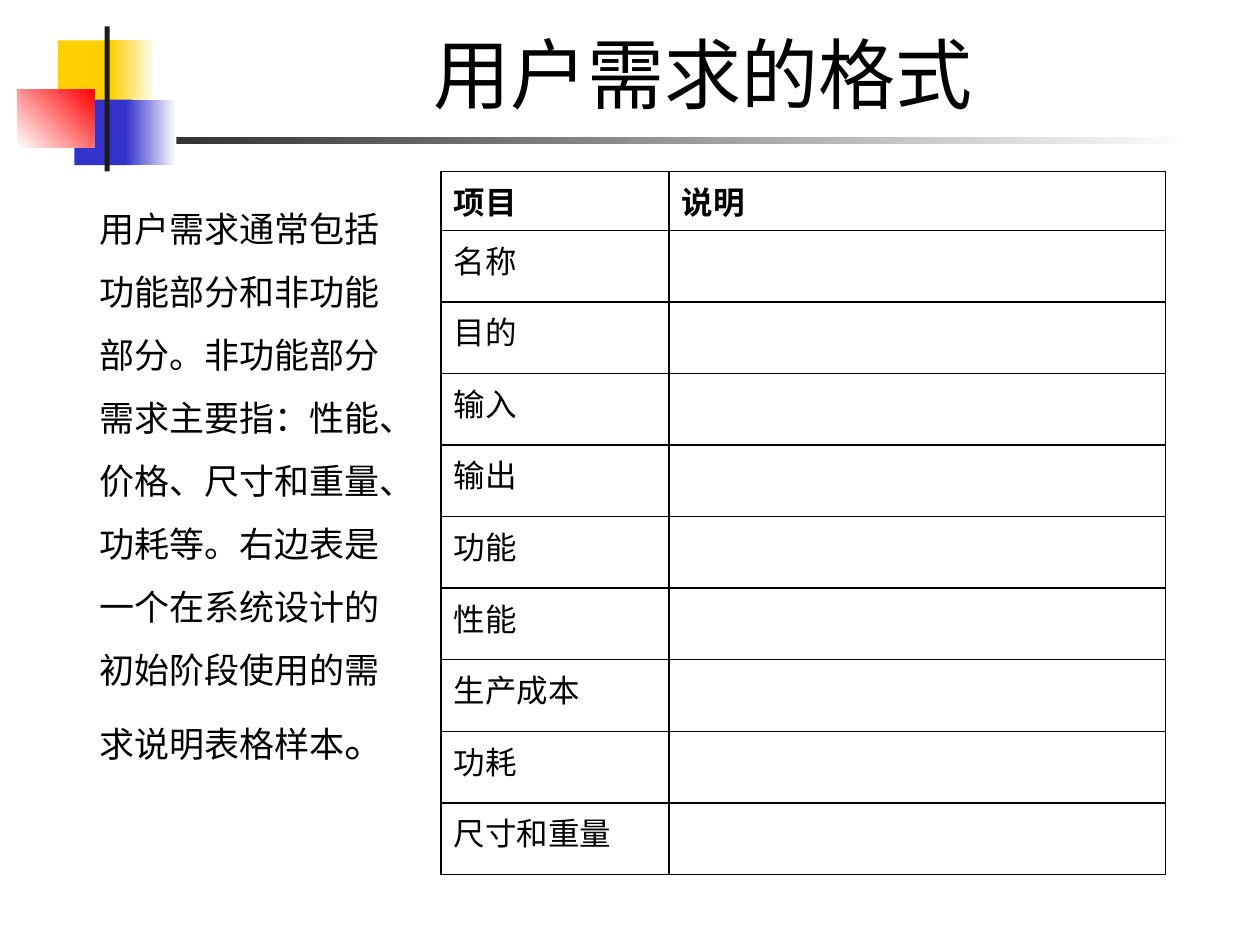
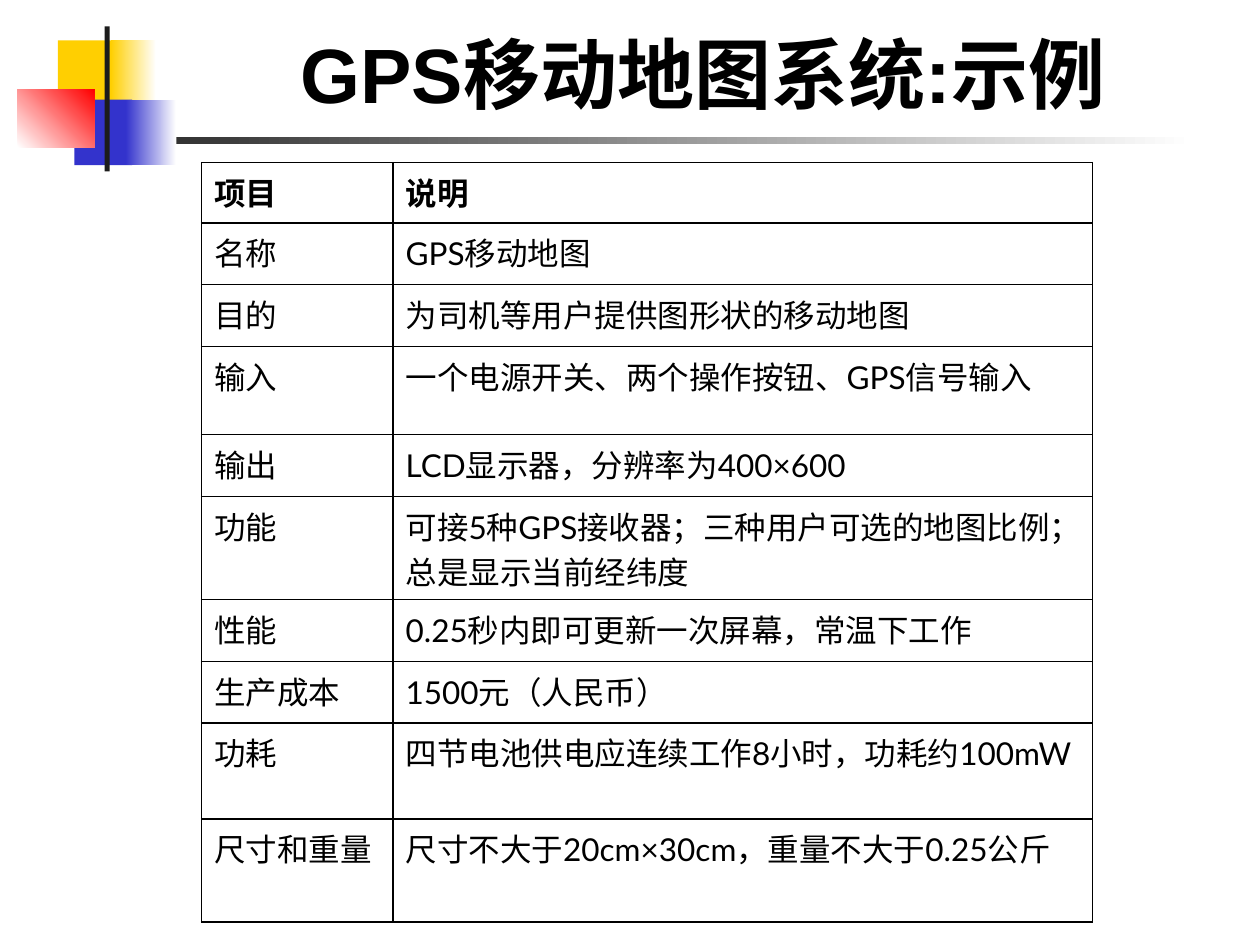
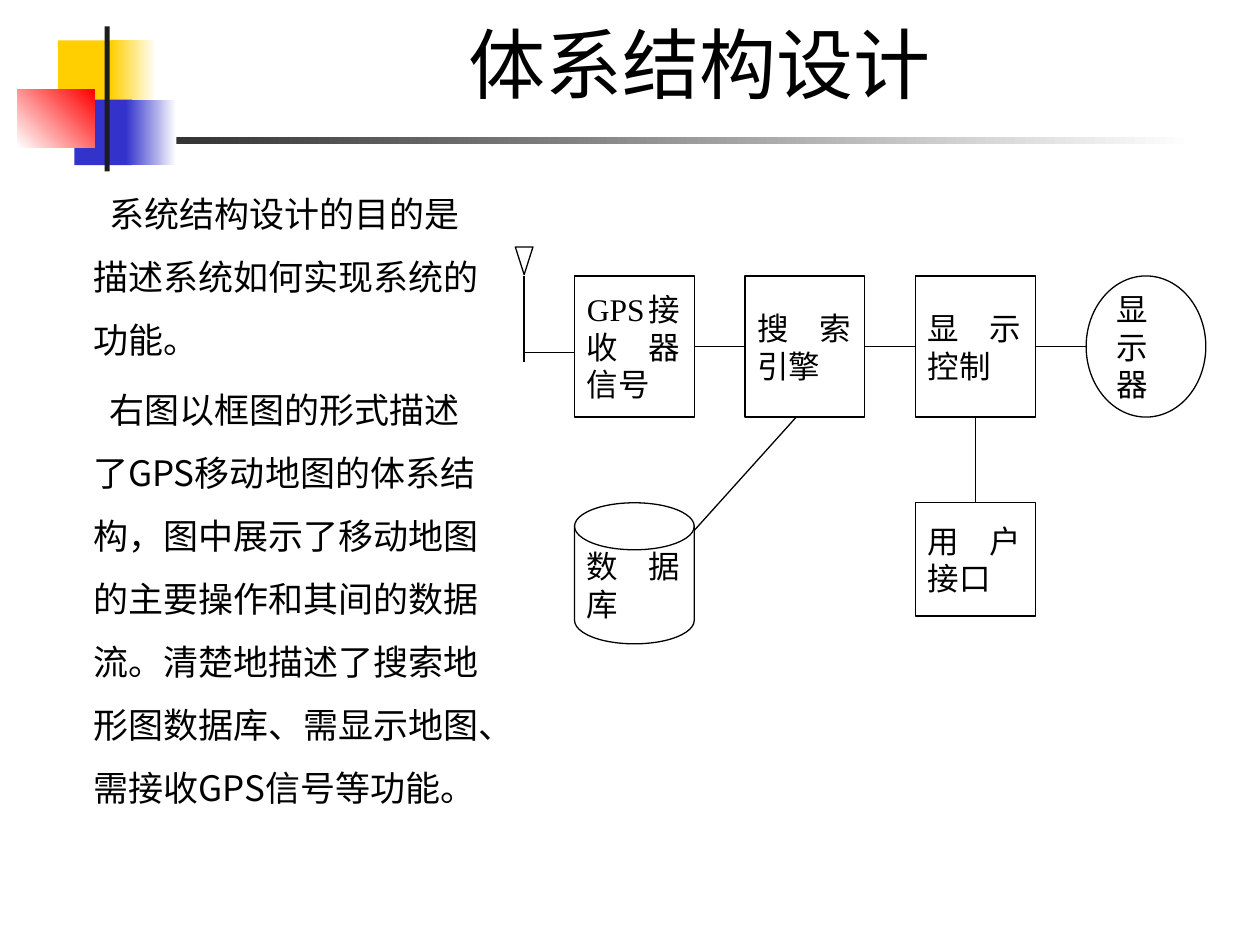
from lxml import etree
from pptx import Presentation
from pptx.dml.color import RGBColor
from pptx.enum.shapes import MSO_CONNECTOR, MSO_SHAPE as SHAPE
from pptx.enum.text import MSO_ANCHOR as ANCHOR, PP_ALIGN as ALIGN
from pptx.oxml.ns import qn
from pptx.util import Inches, Pt

BLACK, WHITE, CHARCOAL = "000000", "FFFFFF", "1C1C1C"
YELLOW, BLUE, RED = "FFCF01", "3333CC", "FF0000"
TITLE_FONT, TABLE_FONT, DIAGRAM_FONT = "Arial", "Lato", "Times New Roman"
CJK_FONT = "Noto Sans CJK SC"

BANDS = [
    ((0.48, 1.09, 9, 0.05), (CHARCOAL, WHITE), 0),
    ((0.46, 0.32, 0.48, 0.52), (YELLOW,), 0),
    ((0.88, 0.32, 0.36, 0.52), (YELLOW, WHITE), 0),
    ((0.59, 0.79, 0.46, 0.52), (BLUE,), 0),
    ((1, 0.79, 0.4, 0.52), (BLUE, WHITE), 0),
    ((0.14, 0.71, 0.61, 0.46), (WHITE, RED), 45),
    ((0.83, 0.21, 0.04, 1.15), (CHARCOAL,), 0),
]

ITEMS = ["名称", "目的", "输入", "输出", "功能", "性能", "生产成本", "功耗", "尺寸和重量"]
GPS_DETAILS = [
    "GPS移动地图",
    "为司机等用户提供图形状的移动地图",
    "一个电源开关、两个操作按钮、GPS信号输入",
    "LCD显示器，分辨率为400×600",
    "可接5种GPS接收器；三种用户可选的地图比例；总是显示当前经纬度",
    "0.25秒内即可更新一次屏幕，常温下工作",
    "1500元（人民币）",
    "四节电池供电应连续工作8小时，功耗约100mW",
    "尺寸不大于20cm×30cm，重量不大于0.25公斤",
]

FORMAT_TEXT = ("用户需求通常包括功能部分和非功能部分。非功能部分需求主要指：性能、价格、"
               "尺寸和重量、功耗等。右边表是一个在系统设计的初始阶段使用的需求说明表格样本")
DESIGN_TEXTS = [
    "系统结构设计的目的是描述系统如何实现系统的功能。",
    "右图以框图的形式描述了GPS移动地图的体系结构，图中展示了移动地图的主要操作和其间的"
    "数据流。清楚地描述了搜索地形图数据库、需显示地图、需接收GPS信号等功能。",
]


def rgb(value):
    """Turn a hex string into a colour."""
    return RGBColor.from_string(value)


def box(at):
    """Turn left, top, width and height in inches into lengths."""
    return [Inches(v) for v in at]


def add_run(p, text, size, font, bold=False):
    """Add a black run with its Latin and East Asian fonts."""
    r = p.add_run()
    r.text = text
    r.font.size, r.font.name, r.font.bold = Pt(size), font, bold
    r.font.color.rgb = rgb(BLACK)
    ea = etree.SubElement(r._r.get_or_add_rPr(), qn("a:ea"))
    ea.set("typeface", CJK_FONT)


def add_band(slide, at, colors, angle):
    """Add a borderless rectangle with a solid or two-colour fill."""
    sp = slide.shapes.add_shape(SHAPE.RECTANGLE, *box(at))
    sp.shadow.inherit = False
    sp.line.fill.background()
    if len(colors) == 1:
        sp.fill.solid()
        sp.fill.fore_color.rgb = rgb(colors[0])
        return
    sp.fill.gradient()
    sp.fill.gradient_angle = angle
    for stop, color, position in zip(sp.fill.gradient_stops, colors, (0, 1)):
        stop.color.rgb, stop.position = rgb(color), position


def add_text_box(slide, at):
    """Add a wrapping text box and return its text frame."""
    tf = slide.shapes.add_textbox(*box(at)).text_frame
    tf.word_wrap = True
    return tf


def add_slide(prs, title, at=(1.38, 0, 8.4, 1.15), bold=False):
    """Add a slide with the shared bands and a centred title."""
    slide = prs.slides.add_slide(prs.slide_layouts[6])
    for band in BANDS:
        add_band(slide, *band)
    tf = add_text_box(slide, at)
    tf.vertical_anchor = ANCHOR.MIDDLE
    p = tf.paragraphs[0]
    p.alignment = ALIGN.CENTER
    add_run(p, title, 44, TITLE_FONT, bold)
    return slide


def add_body(slide, at, paragraphs, indent=0):
    """Add body text, each paragraph a list of text and size pairs."""
    tf = add_text_box(slide, at)
    for i, runs in enumerate(paragraphs):
        p = tf.add_paragraph() if i else tf.paragraphs[0]
        p.line_spacing = 1.5
        if i:
            p.space_before = Pt(4)
        p._p.get_or_add_pPr().set("indent", str(Inches(indent)))
        for text, size in runs:
            add_run(p, text, size, CJK_FONT)


def style_cell(cell):
    """Give a cell thin black borders and no fill."""
    tcPr = cell._tc.get_or_add_tcPr()
    for side in ("lnL", "lnR", "lnT", "lnB"):
        ln = etree.SubElement(tcPr, qn(f"a:{side}"), w=str(Pt(1)))
        fill = etree.SubElement(ln, qn("a:solidFill"))
        etree.SubElement(fill, qn("a:srgbClr"), val=BLACK)
    cell.fill.background()


def add_spec_table(slide, left, top, widths, heights, details):
    """Add the table of requirement items and their descriptions."""
    rows = [("项目", "说明"), *zip(ITEMS, details)]
    at = (left, top, sum(widths), sum(heights))
    table = slide.shapes.add_table(len(rows), 2, *box(at)).table
    table.first_row = table.horz_banding = False
    for column, width in zip(table.columns, widths):
        column.width = Inches(width)
    for i, (texts, height) in enumerate(zip(rows, heights)):
        table.rows[i].height = Inches(height)
        for j, text in enumerate(texts):
            cell = table.cell(i, j)
            style_cell(cell)
            if text:
                add_run(cell.text_frame.paragraphs[0], text, 18, TABLE_FONT, i == 0)


def add_block(slide, kind, at, text=""):
    """Add a white outlined block with justified text."""
    sp = slide.shapes.add_shape(kind, *box(at))
    sp.shadow.inherit = False
    sp.fill.solid()
    sp.fill.fore_color.rgb = rgb(WHITE)
    sp.line.color.rgb = rgb(BLACK)
    sp.line.width = Pt(0.75)
    if text:
        tf = sp.text_frame
        tf.word_wrap = True
        tf.vertical_anchor = ANCHOR.MIDDLE
        tf.margin_right = Inches(0.11)
        p = tf.paragraphs[0]
        p.alignment = ALIGN.JUSTIFY
        p.line_spacing = Pt(21.6)
        add_run(p, text, 18, DIAGRAM_FONT)
    return sp


def add_line(slide, start=(0, 0), end=(0, 0)):
    """Add a thin black straight line."""
    line = slide.shapes.add_connector(MSO_CONNECTOR.STRAIGHT, *box(start + end))
    line.line.color.rgb = rgb(BLACK)
    line.line.width = Pt(0.75)
    etree.SubElement(line._element.spPr, qn("a:effectLst"))
    return line


def join(slide, first, first_site, second, second_site):
    """Join two blocks at their connection sites."""
    line = add_line(slide)
    line.begin_connect(first, first_site)
    line.end_connect(second, second_site)


def add_architecture(slide):
    """Draw the block diagram of the map system."""
    first, last = 4.56, 8.62
    xs = [first + (last - first) / 3 * i for i in range(4)]
    top, low, width, height = 2.19, 3.99, 0.95, 1.12
    middle = top + height / 2
    kinds = [SHAPE.RECTANGLE] * 3 + [SHAPE.OVAL]
    labels = ["GPS接收器信号", "搜索引擎", "显示控制", "显示器"]
    receiver, search, control, _ = [
        add_block(slide, kind, (x, top, width, height), label)
        for kind, x, label in zip(kinds, xs, labels)]
    add_block(slide, SHAPE.FLOWCHART_MAGNETIC_DISK, (xs[0], low, width, height), "数据库")
    user = add_block(slide, SHAPE.RECTANGLE, (xs[2], low, width, 0.9), "用户接口")
    join(slide, receiver, 3, search, 1)
    join(slide, search, 3, control, 1)
    join(slide, control, 2, user, 0)
    to_screen = add_line(slide, (xs[2] + width, middle), (xs[3], middle))
    to_screen.begin_connect(control, 3)
    add_line(slide, (6.32, top + height), (xs[0] + width, 4.21))
    mast = 4.16
    add_line(slide, (mast, 2.8), (xs[0], 2.8))
    add_line(slide, (mast, top), (mast, 2.87))
    add_block(slide, SHAPE.FLOWCHART_MERGE, (mast - 0.07, 1.96, 0.14, 0.22))


def main():
    """Build the three slides and save them."""
    prs = Presentation()
    prs.slide_width, prs.slide_height = Inches(10), Inches(7.5)

    slide = add_slide(prs, "用户需求的格式")
    add_body(slide, (0.69, 1.43, 2.52, 5.51), [[(FORMAT_TEXT, 20), ("。", 24)]])
    header, total = 0.47, 5.58
    heights = [header] + [(total - header) / len(ITEMS)] * len(ITEMS)
    add_spec_table(slide, 3.5, 1.36, (1.81, 3.94), heights, [""] * len(ITEMS))

    slide = add_slide(prs, "GPS移动地图系统:示例", bold=True)
    heights = [0.48, 0.49, 0.49, 0.7, 0.49, 0.82, 0.49, 0.49, 0.76, 0.82]
    add_spec_table(slide, 1.6, 1.29, (1.52, 5.55), heights, GPS_DETAILS)

    slide = add_slide(prs, "体系结构设计 ", (1.5, 0, 8.25, 1))
    add_body(slide, (0.64, 1.31, 3.26, 5.8), [[(t, 20)] for t in DESIGN_TEXTS], 0.13)
    add_architecture(slide)

    prs.save("out.pptx")


if __name__ == "__main__":
    main()
